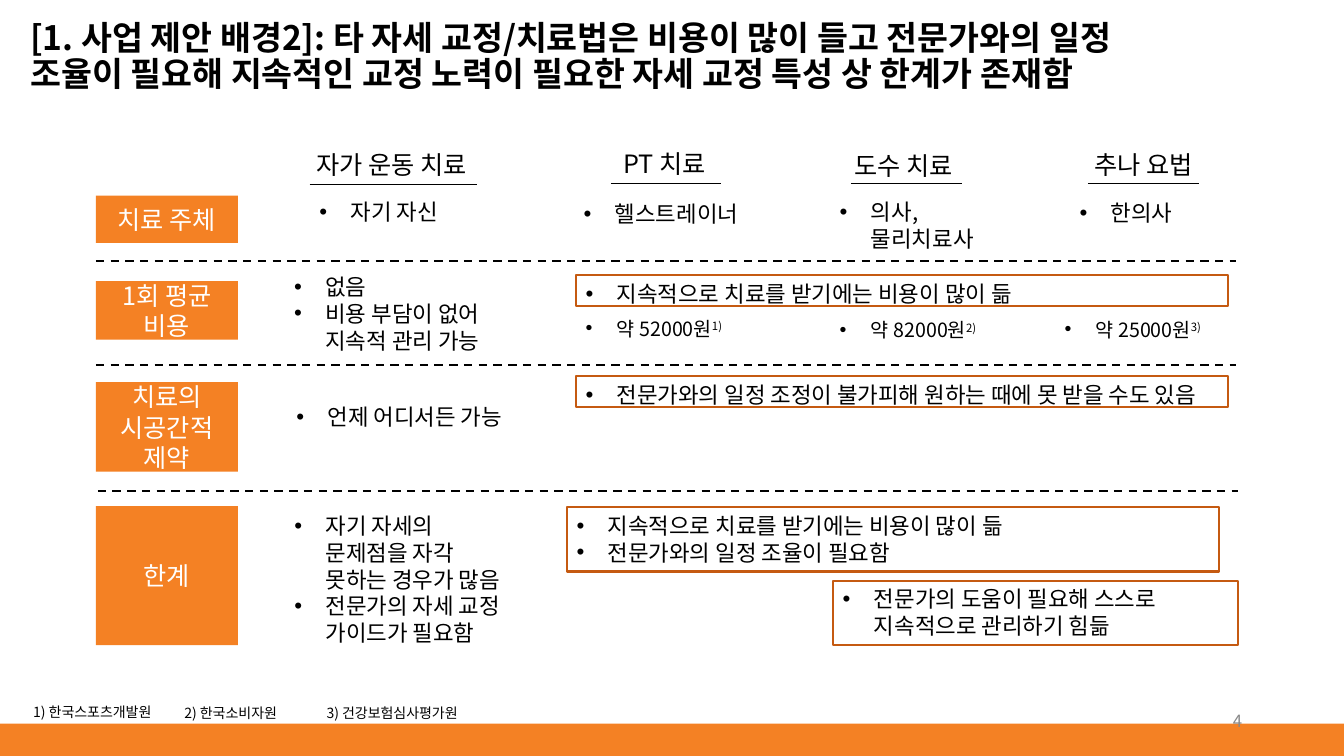
from lxml import etree
from pptx import Presentation
from pptx.dml.color import RGBColor
from pptx.enum.dml import MSO_LINE
from pptx.enum.shapes import MSO_CONNECTOR, MSO_SHAPE
from pptx.enum.text import MSO_ANCHOR, MSO_AUTO_SIZE, PP_ALIGN
from pptx.oxml.ns import qn
from pptx.util import Inches, Pt

FONT = "Noto Sans CJK KR"
ORANGE, FRAME, BLACK, WHITE, GRAY = "F48124", "C55A11", "000000", "FFFFFF", "888888"
WIDTH, HEIGHT = 13.33, 7.5


def rgb(code):
    return RGBColor.from_string(code)


def write(box, paragraphs, size, color=BLACK, align=PP_ALIGN.LEFT,
          anchor=MSO_ANCHOR.TOP, bullet=False, bold=False):
    """Fill a box; "text^mark" makes the mark superscript."""
    frame = box.text_frame
    frame.word_wrap = True
    frame.auto_size = MSO_AUTO_SIZE.NONE
    frame.vertical_anchor = anchor
    for index, text in enumerate(paragraphs):
        paragraph = frame.add_paragraph() if index else frame.paragraphs[0]
        paragraph.alignment = align
        if bullet:
            properties = paragraph._p.get_or_add_pPr()
            properties.set("marL", str(Inches(0.31)))
            properties.set("indent", str(-Inches(0.31)))
            bullet_color = etree.SubElement(properties, qn("a:buClr"))
            etree.SubElement(bullet_color, qn("a:srgbClr"), val=BLACK)
            etree.SubElement(properties, qn("a:buFont"), typeface="Arial")
            etree.SubElement(properties, qn("a:buChar"), char="•")
        for position, part in enumerate(text.split("^")):
            run = paragraph.add_run()
            run.text = part
            run.font.size = Pt(size)
            run.font.bold = bold
            run.font.color.rgb = rgb(color)
            run.font.name = FONT
            run_properties = run._r.get_or_add_rPr()
            etree.SubElement(run_properties, qn("a:ea"), typeface=FONT)
            if position:
                run_properties.set("baseline", "30000")


deck = Presentation()
deck.slide_width, deck.slide_height = Inches(WIDTH), Inches(HEIGHT)
slide = deck.slides.add_slide(deck.slide_layouts[5])
shapes = slide.shapes

footer_band = shapes.add_shape(MSO_SHAPE.RECTANGLE, 0, Inches(7.18), Inches(WIDTH), Inches(0.32))
footer_band.shadow.inherit = False
footer_band.fill.solid()
footer_band.fill.fore_color.rgb = rgb(ORANGE)
footer_band.line.fill.background()

title = shapes.title
title.left, title.top, title.width, title.height = map(Inches, (0.2, 0.21, 11.85, 0.73))
write(title, ["[1. 사업 제안 배경2]: 타 자세 교정/치료법은 비용이 많이 들고 전문가와의 일정 조율이 "
              "필요해 지속적인 교정 노력이 필요한 자세 교정 특성 상 한계가 존재함"],
      24, anchor=MSO_ANCHOR.MIDDLE, bold=True)
title.text_frame.paragraphs[0].line_spacing = 0.9

# Row labels: text, top, height
LABEL_LEFT, LABEL_WIDTH = 0.95, 1.41
criteria = [
    ("치료 주체", 1.94, 0.47),
    ("1회 평균 비용", 2.79, 0.58),
    ("치료의 시공간적 제약", 3.79, 0.89),
    ("한계", 5.02, 1.38),
]
for criterion, top, height in criteria:
    label = shapes.add_shape(MSO_SHAPE.RECTANGLE, Inches(LABEL_LEFT), Inches(top),
                             Inches(LABEL_WIDTH), Inches(height))
    label.shadow.inherit = False
    label.fill.solid()
    label.fill.fore_color.rgb = rgb(ORANGE)
    label.line.fill.background()
    write(label, [criterion], 18, WHITE, PP_ALIGN.CENTER, MSO_ANCHOR.MIDDLE)

# Column headings: text, left, top, width, underline start, underline end, underline height
therapies = [
    ("자가 운동 치료", 2.99, 1.4, 1.78, 3.07, 4.73, 1.83),
    ("PT 치료", 5.86, 1.39, 1.47, 6.06, 7.15, 1.82),
    ("도수 치료", 8.23, 1.41, 1.47, 8.44, 9.54, 1.82),
    ("추나 요법", 10.61, 1.4, 1.47, 10.79, 11.89, 1.82),
]
rules = [(LABEL_LEFT, 12.26, y, 1.5, MSO_LINE.DASH) for y in (2.59, 3.62)]
rules.append((0.97, 12.28, 4.87, 1.5, MSO_LINE.DASH))
for therapy, left, top, width, start, end, underline in therapies:
    heading = shapes.add_textbox(Inches(left), Inches(top), Inches(width), Inches(0.47))
    write(heading, [therapy], 18, align=PP_ALIGN.CENTER, anchor=MSO_ANCHOR.MIDDLE)
    rules.append((start, end, underline, 0.75, MSO_LINE.SOLID))

for start, end, y, weight, dash in rules:
    rule = shapes.add_connector(MSO_CONNECTOR.STRAIGHT, Inches(start), Inches(y),
                                Inches(end), Inches(y))
    rule.line.color.rgb = rgb(BLACK)
    rule.line.width = Pt(weight)
    rule.line.dash_style = dash
    etree.SubElement(rule._element.spPr, qn("a:effectLst"))

# Cell notes: left, top, width, size, paragraphs
notes = [
    (3.07, 1.92, 1.84, 16, ["자기 자신"]),
    (5.69, 1.94, 1.84, 16, ["헬스트레이너"]),
    (8.23, 1.92, 1.84, 16, ["의사, 물리치료사"]),
    (10.61, 1.93, 1.84, 16, ["한의사"]),
    (2.82, 2.66, 2.2, 16, ["없음", "비용 부담이 없어 지속적 관리 가능"]),
    (5.71, 3.09, 1.84, 14, ["약 52000원^1)"]),
    (8.23, 3.11, 1.84, 14, ["약 82000원^2)"]),
    (10.46, 3.1, 1.84, 14, ["약 25000원^3)"]),
    (2.84, 3.95, 2.25, 16, ["언제 어디서든 가능"]),
    (2.82, 5.03, 2.31, 16, ["자기 자세의 문제점을 자각 못하는 경우가 많음",
                            "전문가의 자세 교정 가이드가 필요함"]),
]
for left, top, width, size, paragraphs in notes:
    note = shapes.add_textbox(Inches(left), Inches(top), Inches(width), Inches(0.64))
    write(note, paragraphs, size, bullet=True)

# Framed drawbacks: left, top, width, height, paragraphs
COSTLY = "지속적으로 치료를 받기에는 비용이 많이 듦"
drawbacks = [
    (5.71, 2.73, 6.47, 0.31, [COSTLY]),
    (5.71, 3.73, 6.47, 0.31, ["전문가와의 일정 조정이 불가피해 원하는 때에 못 받을 수도 있음"]),
    (5.62, 5.03, 6.47, 0.64, [COSTLY, "전문가와의 일정 조율이 필요함"]),
    (8.26, 5.76, 4.02, 0.64, ["전문가의 도움이 필요해 스스로 지속적으로 관리하기 힘듦"]),
]
for left, top, width, height, paragraphs in drawbacks:
    drawback = shapes.add_shape(MSO_SHAPE.RECTANGLE, Inches(left), Inches(top),
                                Inches(width), Inches(height))
    drawback.shadow.inherit = False
    drawback.fill.background()
    drawback.line.color.rgb = rgb(FRAME)
    drawback.line.width = Pt(1.5)
    write(drawback, paragraphs, 16, bullet=True)

sources = [
    ("1) 한국스포츠개발원", 0.23, 6.93),
    ("2) 한국소비자원", 1.73, 6.94),
    ("3) 건강보험심사평가원", 3.14, 6.94),
]
for source, left, top in sources:
    footnote = shapes.add_textbox(Inches(left), Inches(top), Inches(3.09), Inches(0.6))
    write(footnote, [source], 10)

page_number = shapes.add_textbox(Inches(9.42), Inches(6.95), Inches(3), Inches(0.4))
write(page_number, ["4"], 12, GRAY, PP_ALIGN.RIGHT, MSO_ANCHOR.MIDDLE)

deck.save("out.pptx")
